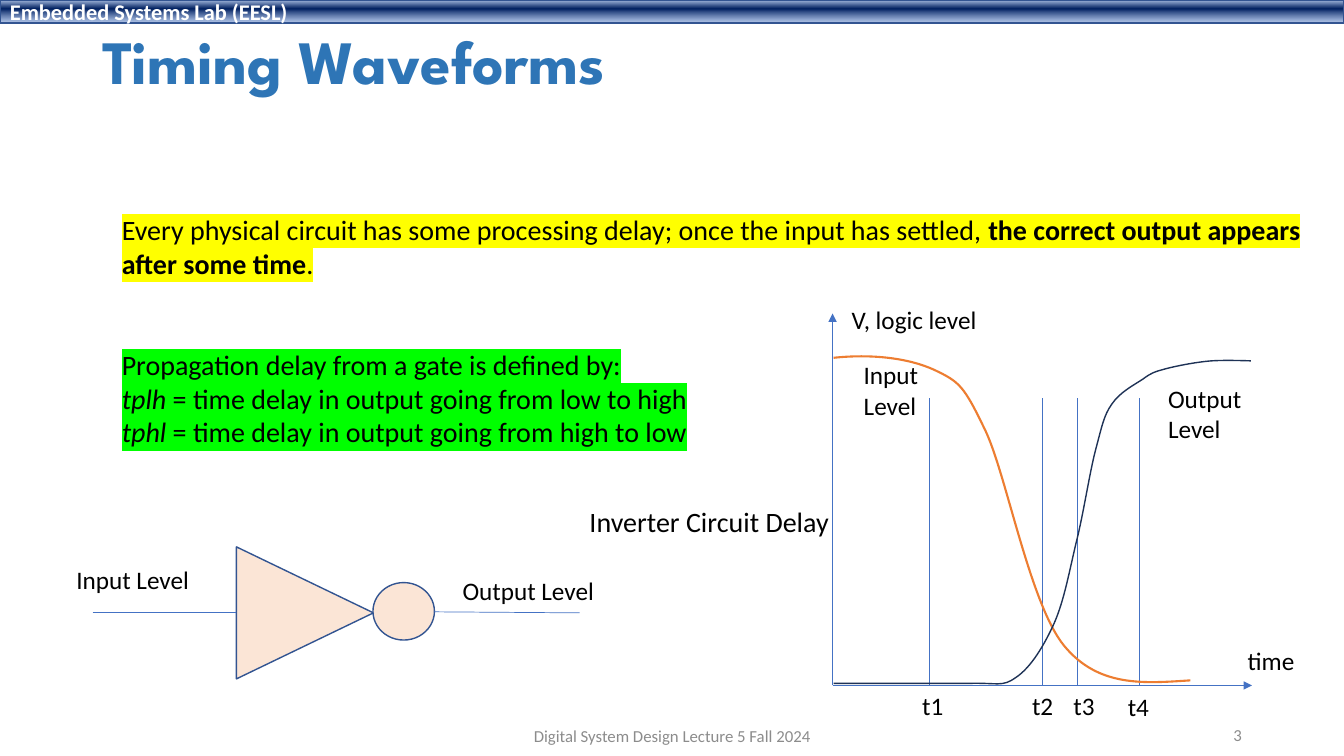
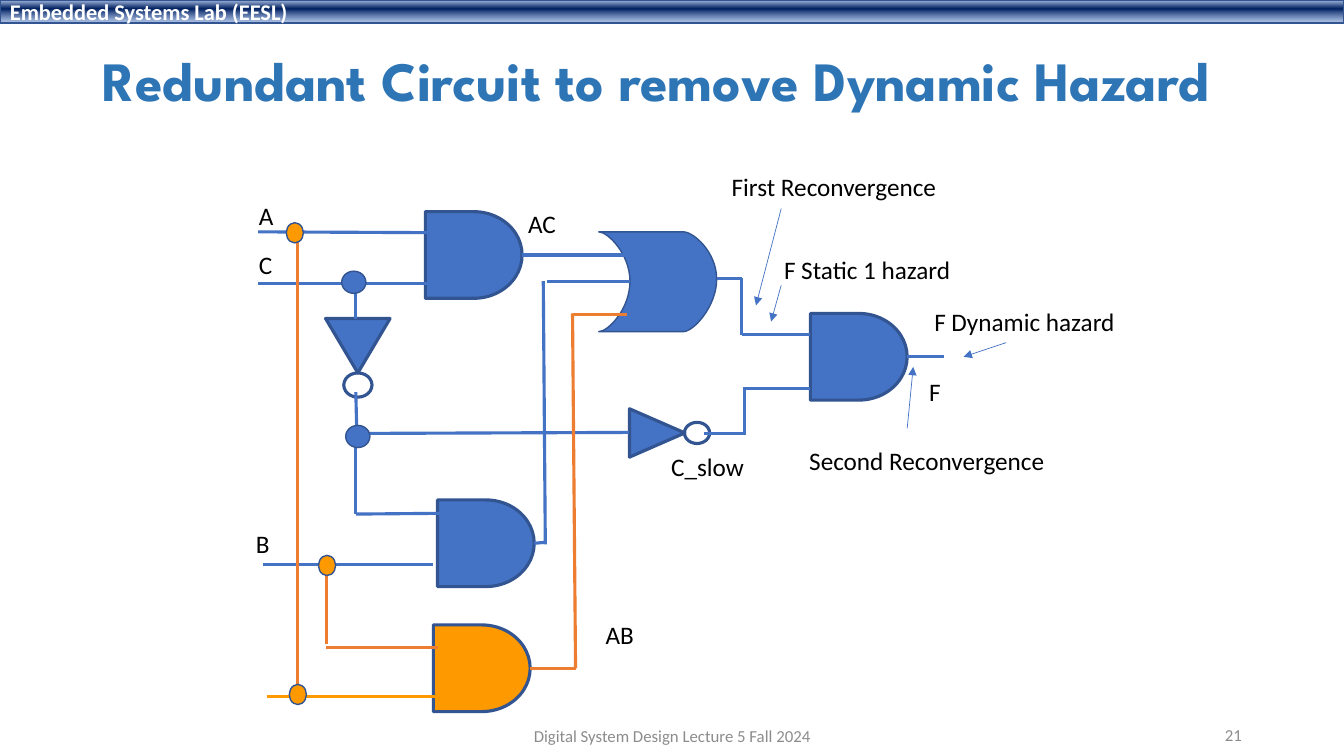
import dataclasses
import typing

import lxml.etree
import pptx
import pptx.dml.color
import pptx.enum.shapes
import pptx.enum.text
import pptx.oxml.ns
import pptx.util

PX = 9144  # EMU per px, 100 px to the inch
WIDE, HIGH = 4000 / 3, 750  # 16:9

BLUE, EDGE, ORANGE, AMBER = "4472C4", "325491", "ED7D31", "FF9900"
PEACH, NAVY, TITLE, GREY = "FBE5D6", "1E3256", "2E75B6", "8C8C8C"
BLACK, WHITE, YELLOW, GREEN = "000000", "FFFFFF", "FFFF00", "00FF00"
BAND = [(2, "ABC0E4", 100), (38, "002060", 100), (93, "7E9ED6", 64)]

KIND = pptx.enum.shapes.MSO_SHAPE
ALIGN = pptx.enum.text.PP_ALIGN
MIDDLE = pptx.enum.text.MSO_ANCHOR.MIDDLE
GROW = pptx.enum.text.MSO_AUTO_SIZE.SHAPE_TO_FIT_TEXT


@dataclasses.dataclass
class Run:
    text: str
    bold: typing.Optional[bool] = None
    slant: typing.Optional[bool] = None


@dataclasses.dataclass
class Style:
    size: float = 18
    color: str = BLACK
    face: str = "Calibri"
    bold: bool = False
    align: typing.Any = ALIGN.LEFT
    mark: str = ""
    space: float = 1.0


class Label(typing.NamedTuple):
    x: int
    y: int
    w: int
    text: str
    size: int = 18


class Part(typing.NamedTuple):
    kind: typing.Any
    x: int
    y: int
    w: float
    h: int
    fill: str = BLUE
    line: float = 1
    turn: int = 0


class Wire(typing.NamedTuple):
    x1: int
    y1: int
    x2: int
    y2: int
    color: str = BLUE
    width: float = 2.25
    arrow: bool = False
    gate: typing.Any = None  # shape whose right side the wire leaves


# Helpers
def px(n: float) -> int:
    return round(n * PX)


def rgb(code: str) -> pptx.dml.color.RGBColor:
    return pptx.dml.color.RGBColor.from_string(code)


def node(parent, name: str, **attrs: str):
    return lxml.etree.SubElement(parent, pptx.oxml.ns.qn(name), **attrs)


def write(shape, paras: list[list[Run]], style: Style) -> None:
    frame = shape.text_frame
    for i, runs in enumerate(paras):
        para = frame.paragraphs[0] if i == 0 else frame.add_paragraph()
        para.alignment = style.align
        if style.space != 1:
            para.line_spacing = style.space
        font = para.font
        font.size, font.name = pptx.util.Pt(style.size), style.face
        font.bold, font.color.rgb = style.bold, rgb(style.color)
        for item in runs:
            run = para.add_run()
            run.text = item.text
            run.font.bold, run.font.italic = item.bold, item.slant
            if style.mark:
                mark = node(run.font._element, "a:highlight")
                node(mark, "a:srgbClr", val=style.mark)


def add_text(slide, x: int, y: int, w: int, h: int, paras: list[list[Run]],
             style: Style, wrap: bool = False):
    box = slide.shapes.add_textbox(px(x), px(y), px(w), px(h))
    box.text_frame.word_wrap = wrap
    if not wrap:
        box.text_frame.auto_size = GROW
    write(box, paras, style)
    return box


def add_label(slide, label: Label) -> None:
    lines = label.text.split("\n")
    high = 10 + round(len(lines) * label.size * 1.7)
    add_text(slide, label.x, label.y, label.w, high,
             [[Run(line)] for line in lines], Style(label.size))


def paint(shape, fill: str, line: str, width: float) -> None:
    shape.shadow.inherit = False
    if fill:
        shape.fill.solid()
        shape.fill.fore_color.rgb = rgb(fill)
    else:
        shape.fill.background()
    shape.line.color.rgb = rgb(line)
    shape.line.width = pptx.util.Pt(width)


def add_part(slide, part: Part):
    shape = slide.shapes.add_shape(part.kind, px(part.x), px(part.y),
                                   px(part.w), px(part.h))
    paint(shape, part.fill, EDGE, part.line)
    shape.rotation = part.turn
    return shape


def add_wire(slide, wire: Wire) -> None:
    line = slide.shapes.add_connector(
        pptx.enum.shapes.MSO_CONNECTOR.STRAIGHT,
        px(wire.x1), px(wire.y1), px(wire.x2), px(wire.y2))
    if wire.gate is not None:
        line.begin_connect(wire.gate, 3)
    line.line.color.rgb = rgb(wire.color)
    line.line.width = pptx.util.Pt(wire.width)
    if wire.arrow:
        node(line.line._get_or_add_ln(), "a:tailEnd", type="triangle")
    node(line._element.spPr, "a:effectLst")


def add_path(slide, start: tuple, steps: list[tuple], line: str, width: float,
             fill: str = "") -> None:
    """Steps of 2 numbers are lines, steps of 6 are cubic curves."""
    dots = [step[i:i + 2] for step in steps for i in range(0, len(step), 2)]
    pen = slide.shapes.build_freeform(px(start[0]), px(start[1]), scale=1.0)
    pen.add_line_segments([(px(x), px(y)) for x, y in dots], close=bool(fill))
    shape = pen.convert_to_shape()
    paint(shape, fill, line, width)
    # Join the three points of each curve into one cubic segment
    legs = iter(shape._element.findall(".//" + pptx.oxml.ns.qn("a:lnTo")))
    for step in steps:
        group = [next(legs) for _ in range(len(step) // 2)]
        if len(group) == 3:
            host = group[0].getparent()
            curve = node(host, "a:cubicBezTo")
            host.replace(group[0], curve)
            for leg in group:
                curve.append(leg[0])
            for leg in group[1:]:
                host.remove(leg)


def add_band(slide, layout) -> None:
    """Draw the top band and hand it to the layout."""
    band = add_part(slide, Part(KIND.RECTANGLE, 0, 0, WIDE, 23))
    band.fill.gradient()
    band.fill.gradient_angle = 270
    stops = band._element.spPr.find(".//" + pptx.oxml.ns.qn("a:gsLst"))
    for old in list(stops):
        stops.remove(old)
    for spot, code, alpha in BAND:
        stop = node(stops, "a:gs", pos=str(spot * 1000))
        tint = node(stop, "a:srgbClr", val=code)
        if alpha < 100:
            node(tint, "a:alpha", val=str(alpha * 1000))
    band.text_frame.vertical_anchor = MIDDLE
    write(band, [[Run("Embedded Systems Lab (EESL)")]],
          Style(16, WHITE, bold=True))
    layout.shapes._spTree.append(band._element)


def add_frame(deck, title: str, y: int, h: int, size: float, page: int):
    """New slide with title, page number and footer."""
    layout = deck.slide_layouts[6]
    slide = deck.slides.add_slide(layout)
    if len(deck.slides) == 1:
        add_band(slide, layout)
    footer = "Digital System Design Lecture 5 Fall 2024"
    for left, top, wide, high, text, style in [
        (92, y, 1150, h, title,
         Style(size, TITLE, "League Spartan", True, space=0.9)),
        (942, 709, 300, 40, str(page), Style(12, GREY, align=ALIGN.RIGHT)),
        (442, 710, 450, 40, footer, Style(12, GREY, align=ALIGN.CENTER)),
    ]:
        box = add_text(slide, left, top, wide, high, [[Run(text)]], style, True)
        box.text_frame.vertical_anchor = MIDDLE
    return slide


def draw_waves(deck) -> None:
    slide = add_frame(deck, "Timing Waveforms", 26, 77, 44, 3)

    # Marked statements
    add_text(slide, 111, 206, 1196, 77, [
        [Run("Every physical circuit has some processing delay; "
             "once the input has settled, "),
         Run("the correct output appears", True)],
        [Run("after some time", True), Run(".")],
    ], Style(20, mark=YELLOW))
    add_text(slide, 111, 340, 586, 111, [
        [Run("Propagation delay from a gate is defined by:")],
        [Run("tplh", slant=True),
         Run(" = time delay in output going from low to high")],
        [Run("tphl", slant=True),
         Run(" = time delay in output going from high to low")],
    ], Style(20, mark=GREEN))

    # Inverter
    add_part(slide, Part(KIND.ISOSCELES_TRIANGLE, 237, 540, 131, 136, PEACH,
                         turn=90))
    add_part(slide, Part(KIND.OVAL, 370, 578, 61, 57, PEACH))

    # Axes, inverter leads and time marks
    for wire in [(826, 680, 826, 311, BLUE, 0.5, True),
                 (826, 680, 1242, 680, BLUE, 0.5, True),
                 (92, 608, 234, 608, BLUE, 0.5),
                 (431, 607, 575, 608, BLUE, 0.5)]:
        add_wire(slide, Wire(*wire))
    for x in (922, 1034, 1069, 1130):
        add_wire(slide, Wire(x, 395, x, 680, BLUE, 0.5))

    for label in [(575, 496, 260, "Inverter Circuit Delay", 20),
                  (1228, 635, 67, "time"), (835, 297, 146, "V, logic level"),
                  (847, 352, 75, "Input\nLevel"),
                  (1149, 375, 94, "Output\nLevel"),
                  (905, 680, 41, "t1"), (1014, 680, 41, "t2"),
                  (1055, 680, 41, "t3"), (1109, 681, 41, "t4"),
                  (66, 555, 133, "Input Level"),
                  (449, 566, 152, "Output Level")]:
        add_label(slide, Label(*label))

    # Input and output curves
    add_path(slide, (827, 355), [
        (864, 351, 901, 355, 927, 367), (952, 379, 956, 382, 978, 428),
        (999, 473, 1022, 600, 1056, 641), (1090, 682, 1135, 678, 1181, 675),
    ], ORANGE, 1.5)
    add_path(slide, (827, 678), [
        (960, 678), (991, 677, 994, 682, 1008, 672),
        (1023, 662, 1036, 640, 1046, 618), (1056, 595, 1061, 566, 1068, 537),
        (1075, 509, 1081, 469, 1087, 446), (1093, 424, 1095, 412, 1103, 401),
        (1111, 389, 1125, 382, 1134, 376), (1142, 370, 1145, 369, 1156, 366),
        (1167, 363, 1188, 359, 1202, 358), (1216, 357, 1241, 358, 1241, 358),
    ], NAVY, 1)


def draw_hazard(deck) -> None:
    slide = add_frame(deck, "Redundant Circuit to remove Dynamic Hazard",
                      15, 136, 39.6, 21)

    # Gates
    top, low, last, spare = [
        add_part(slide, Part(KIND.FLOWCHART_DELAY, x, y, 96, 86, fill, 2.25))
        for x, y, fill in [(422, 210, BLUE), (434, 496, BLUE),
                           (804, 311, BLUE), (430, 620, AMBER)]]
    add_path(slide, (678, 329), [
        (594, 329), (603, 329, 625, 307, 625, 279),
        (625, 252, 603, 230, 594, 230), (678, 230),
        (688, 230, 711, 250, 711, 277), (711, 304, 688, 329, 678, 329),
    ], EDGE, 1, BLUE)
    for part in [(KIND.ISOSCELES_TRIANGLE, 628, 402, 48, 55, BLUE, 2.25, 90),
                 (KIND.OVAL, 679, 419, 25, 21, "", 2.25),
                 (KIND.ISOSCELES_TRIANGLE, 323, 316, 64, 54, BLUE, 2.25, 180),
                 (KIND.OVAL, 343, 368, 24, 28, "", 2.25, 90)]:
        add_part(slide, Part(*part))

    # Wires
    for ends in [
            (711, 276, 736, 276), (736, 276, 736, 332), (736, 332, 804, 332),
            (698, 430, 740, 430), (739, 384, 739, 430), (739, 385, 804, 385),
            (256, 230, 463, 231), (256, 281, 463, 281), (353, 283, 353, 316),
            (353, 389, 354, 430), (353, 428, 353, 510), (353, 510, 467, 509),
            (355, 430, 624, 429), (261, 560, 430, 560), (539, 279, 541, 540),
            (543, 279, 625, 279)]:
        add_wire(slide, Wire(*ends))
    for gate, *ends, color in [
            (top, 518, 253, 622, 253, BLUE), (low, 530, 539, 541, 538, BLUE),
            (last, 900, 354, 937, 354, BLUE),
            (spare, 526, 663, 571, 663, ORANGE)]:
        add_wire(slide, Wire(*ends, color, gate=gate))
    for wire in [
            (568, 312, 622, 312, ORANGE), (265, 691, 435, 691, AMBER),
            (323, 642, 435, 642, ORANGE), (324, 557, 324, 639, ORANGE),
            (295, 691, 295, 230, ORANGE), (568, 311, 571, 663, ORANGE)]:
        add_wire(slide, Wire(*wire))

    # Pointers
    for ends in [(775, 283, 765, 319), (998, 340, 956, 354),
                 (775, 207, 750, 303), (900, 425, 906, 364)]:
        add_wire(slide, Wire(*ends, BLUE, 0.5, True))

    # Junctions
    for x, y in [(339, 269), (343, 422)]:
        add_part(slide, Part(KIND.OVAL, x, y, 24, 22))
    for x, y in [(284, 221), (316, 551), (287, 679)]:
        add_part(slide, Part(KIND.OVAL, x, y, 17, 20, AMBER))

    for label in [(247, 194, 34, "A"), (247, 242, 34, "C"), (244, 519, 34, "B"),
                  (912, 368, 32, "F"), (656, 443, 93, "C_slow"),
                  (768, 247, 187, "F Static 1 hazard"),
                  (917, 299, 201, "F Dynamic hazard"),
                  (716, 165, 225, "First Reconvergence"),
                  (793, 437, 256, "Second Reconvergence"),
                  (591, 609, 48, "AB"), (514, 202, 48, "AC")]:
        add_label(slide, Label(*label))


def main() -> None:
    deck = pptx.Presentation()
    deck.slide_width, deck.slide_height = px(WIDE), px(HIGH)
    draw_waves(deck)
    draw_hazard(deck)
    deck.save("out.pptx")


if __name__ == "__main__":
    main()
